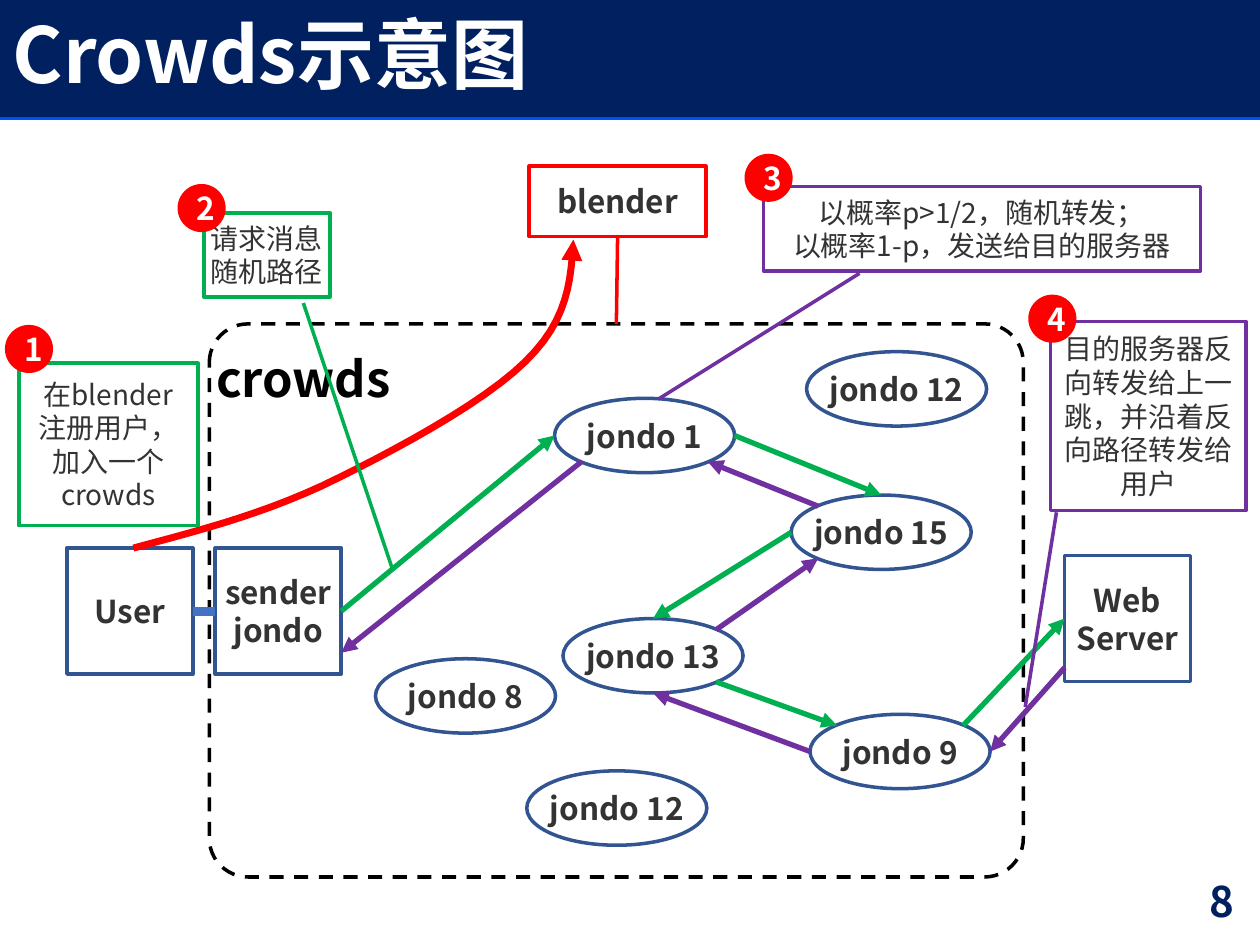
from lxml.etree import SubElement
from pptx import Presentation
from pptx.dml.color import RGBColor
from pptx.enum.dml import MSO_LINE
from pptx.enum.shapes import MSO_CONNECTOR, MSO_SHAPE as SHAPE
from pptx.enum.text import MSO_ANCHOR, PP_ALIGN as ALIGN
from pptx.oxml.ns import qn
from pptx.util import Cm, Pt

THEME = dict(
    font="Noto Sans CJK SC",
    navy="002060", rule="0052FF", node="325491", link="4472C4", red="FF0000",
    green="00B050", purple="7030A0", ink="333333", black="000000", white="FFFFFF",
    title=44, crowd=28, page=24, label=18, note=16,
    outline=2, arrow=3, curve=4, thick=5,
)

# Positions and sizes are in centimetres: left, top, width, height.
TITLE = ("Crowds示意图", (0, 0, 25.4, 2.36))
TITLE_RULE = ((0, 2.34), (25.4, 2.34))
PAGE = ("8", (19.41, 17.65, 5.72, 1.02))
CROWD_LABEL = ("crowds", (4.11, 6.91, 4.11, 1.45))
CROWD_BOX = (4.22, 6.53, 16.41, 11.15)
CROWD_CORNER = 0.07

BOX, JONDO, BADGE = (2.54, 2.54), (3.63, 1.5), (0.97, 0.97)
BOXES = {  # key: text, box, colour
    "web": ("Web\nServer", (21.46, 11.2, *BOX), "node"),
    "sender": ("sender\njondo", (4.34, 11.05, *BOX), "node"),
    "user": ("User", (1.35, 11.05, *BOX), "node"),
    "blender": ("blender", (10.67, 3.35, 3.56, 1.42), "red"),
}
JONDOS = [  # number, left, top
    (1, 11.18, 8.03), (13, 11.35, 12.47), (15, 15.95, 9.98), (9, 16.33, 14.4),
    (8, 7.57, 13.28), (12, 10.62, 15.54), (12, 16.26, 7.09),
]

# Anchors are fractions of a node's width and height.
NEAR, FAR = 0.15, 0.85  # where an ellipse meets its diagonals
TOP, LEFT, BOTTOM, RIGHT = SIDES = [(0.5, 0), (0, 0.5), (0.5, 1), (1, 0.5)]
TOP_LEFT, TOP_RIGHT = (NEAR, NEAR), (FAR, NEAR)
BOTTOM_LEFT, BOTTOM_RIGHT = (NEAR, FAR), (FAR, FAR)
LINKS = [  # from, to, colour, width
    (("blender", BOTTOM), ("crowd", TOP), "red", "outline"),
    (("user", RIGHT), ("sender", LEFT), "link", "thick"),
]
REQUESTS = [
    (("sender", RIGHT), (1, LEFT)),
    ((1, RIGHT), (15, TOP)),
    ((15, LEFT), (13, TOP)),
    ((13, BOTTOM_RIGHT), (9, TOP_LEFT)),
    ((9, TOP_RIGHT), ("web", LEFT)),
]
REPLIES = [
    (("web", (0, 0.89)), (9, RIGHT)),
    ((9, LEFT), (13, BOTTOM)),
    ((13, TOP_RIGHT), (15, BOTTOM_LEFT)),
    ((15, TOP_LEFT), (1, BOTTOM_RIGHT)),
    ((1, BOTTOM_LEFT), ("sender", (1, 0.83))),
]
REGISTRATION = [  # start, then two controls and an end for each curve
    (2.69, 11.05),
    (3.91, 10.72), (5.16, 10.41), (6.48, 9.8),
    (7.8, 9.17), (9.75, 8.13), (10.59, 7.29),
    (11.46, 6.45), (11.51, 5.64), (11.56, 4.83),
]
CURVE_STEPS = 12

STEPS = [  # text, box, badge corner, colour, wraps, leader as y, x, y, x
    ("在blender注册用户，加入一个crowds", (0.38, 7.32, 3.61, 3.28),
     (0.1, 6.55), "green", True, None),
    ("请求消息\n随机路径", (4.11, 4.29, 2.54, 1.7),
     (3.58, 3.71), "green", False, (1.07, 0.79, 4.24, 1.5)),
    ("以概率p>1/2，随机转发；\n以概率1-p，发送给目的服务器", (15.39, 3.76, 8.81, 1.7),
     (15.01, 3.1), "purple", False, (1.03, 0.22, 2.52, -0.24)),
    ("目的服务器反向转发给上一跳，并沿着反向路径转发给用户", (21.18, 6.48, 3.94, 3.81),
     (20.73, 5.94), "purple", True, (1.01, 0.03, 2.04, -0.13)),
]


def rgb(name):
    return RGBColor.from_string(THEME[name])


def cms(values):
    return [Cm(v) for v in values]


def write(shape, text, size, color, bold=True, align=ALIGN.CENTER,
          wrap=True, anchor=MSO_ANCHOR.MIDDLE):
    frame = shape.text_frame
    frame.text, frame.word_wrap, frame.vertical_anchor = text, wrap, anchor
    for paragraph in frame.paragraphs:
        paragraph.alignment = align
        font = paragraph.font
        font.size, font.bold, font.name = Pt(THEME[size]), bold, THEME["font"]
        font.color.rgb = rgb(color)
        SubElement(font._element, qn("a:ea"), typeface=THEME["font"])


def stroke(shape, color, width, arrow=False):
    shape.line.color.rgb = rgb(color)
    shape.line.width = Pt(THEME[width])
    if arrow:
        SubElement(shape.line._get_or_add_ln(), qn("a:tailEnd"), type="triangle")


def add_outline(shapes, kind, box, color):
    shape = shapes.add_shape(kind, *cms(box))
    shape.shadow.inherit = False
    shape.fill.background()
    stroke(shape, color, "outline")
    return shape


def add_line(shapes, start, end, color, width, arrow=False):
    line = shapes.add_connector(MSO_CONNECTOR.STRAIGHT, *start, *end)
    stroke(line, color, width, arrow)
    SubElement(line._element.spPr, qn("a:effectLst"))
    return line


def link(shapes, nodes, start, end, color, width, arrow=True):
    """Draw a line between two (node, anchor) pairs, joined at rectangle sides."""
    def point(key, anchor):
        node = nodes[key]
        return (round(node.left + anchor[0] * node.width),
                round(node.top + anchor[1] * node.height))

    line = add_line(shapes, point(*start), point(*end), color, width, arrow)
    for (key, anchor), join in ((start, line.begin_connect), (end, line.end_connect)):
        if nodes[key].auto_shape_type != SHAPE.OVAL and anchor in SIDES:
            join(nodes[key], SIDES.index(anchor))


def curve_points(knots):
    points = [knots[0]]
    for i in range(0, len(knots) - 1, 3):
        for step in range(1, CURVE_STEPS + 1):
            t = step / CURVE_STEPS
            weights = ((1 - t) ** 3, 3 * t * (1 - t) ** 2, 3 * t * t * (1 - t), t ** 3)
            points.append(tuple(sum(w * k[axis] for w, k in zip(weights, knots[i:i + 4]))
                                for axis in (0, 1)))
    return [cms(p) for p in points]


def add_heading(slide):
    shapes, title = slide.shapes, slide.shapes.title
    add_line(shapes, cms(TITLE_RULE[0]), cms(TITLE_RULE[1]), "rule", "thick")
    shapes._spTree.append(title._element)  # the title covers the rule's upper half
    text, box = TITLE
    title.left, title.top, title.width, title.height = cms(box)
    title.fill.solid()
    title.fill.fore_color.rgb = rgb("navy")
    write(title, text, "title", "white", align=ALIGN.LEFT)
    title.text_frame.paragraphs[0].line_spacing = 0.9
    text, box = PAGE
    write(shapes.add_textbox(*cms(box)), text, "page", "navy", align=ALIGN.RIGHT)


def add_nodes(shapes):
    text, box = CROWD_LABEL
    write(shapes.add_textbox(*cms(box)), text, "crowd", "black", align=ALIGN.LEFT,
          wrap=False, anchor=MSO_ANCHOR.TOP)
    crowd = add_outline(shapes, SHAPE.ROUNDED_RECTANGLE, CROWD_BOX, "black")
    crowd.adjustments[0] = CROWD_CORNER
    crowd.line.dash_style = MSO_LINE.DASH
    nodes = {"crowd": crowd}
    for key, (text, box, color) in BOXES.items():
        nodes[key] = add_outline(shapes, SHAPE.RECTANGLE, box, color)
        write(nodes[key], text, "label", "ink", wrap=False)
    for number, left, top in JONDOS:
        nodes[number] = add_outline(shapes, SHAPE.OVAL, (left, top, *JONDO), "node")
        write(nodes[number], f"jondo {number}", "label", "ink", wrap=False)
    return nodes


def add_step(shapes, number, text, box, corner, color, wrap, leader):
    kind = SHAPE.LINE_CALLOUT_1 if leader else SHAPE.RECTANGLE
    note = add_outline(shapes, kind, box, color)
    for i, value in enumerate(leader or ()):
        note.adjustments[i] = value
    write(note, text, "note", "ink", bold=False, wrap=wrap)
    badge = add_outline(shapes, SHAPE.OVAL, (*corner, *BADGE), "red")
    badge.line.fill.background()
    badge.fill.solid()
    badge.fill.fore_color.rgb = rgb("red")
    write(badge, str(number), "label", "white")


def main():
    deck = Presentation()
    deck.slide_width, deck.slide_height = Cm(25.4), Cm(19.05)
    slide = deck.slides.add_slide(deck.slide_layouts[5])
    shapes = slide.shapes
    add_heading(slide)
    nodes = add_nodes(shapes)
    for start, end, color, width in LINKS:
        link(shapes, nodes, start, end, color, width, arrow=False)
    for color, route in (("green", REQUESTS), ("purple", REPLIES)):
        for start, end in route:
            link(shapes, nodes, start, end, color, "arrow")
    first, *rest = curve_points(REGISTRATION)
    builder = shapes.build_freeform(*first)
    builder.add_line_segments(rest, close=False)
    curve = builder.convert_to_shape()
    curve.shadow.inherit = False
    curve.fill.background()
    stroke(curve, "red", "curve", arrow=True)
    for number, step in enumerate(STEPS, 1):
        add_step(shapes, number, *step)
    deck.save("out.pptx")


if __name__ == "__main__":
    main()
